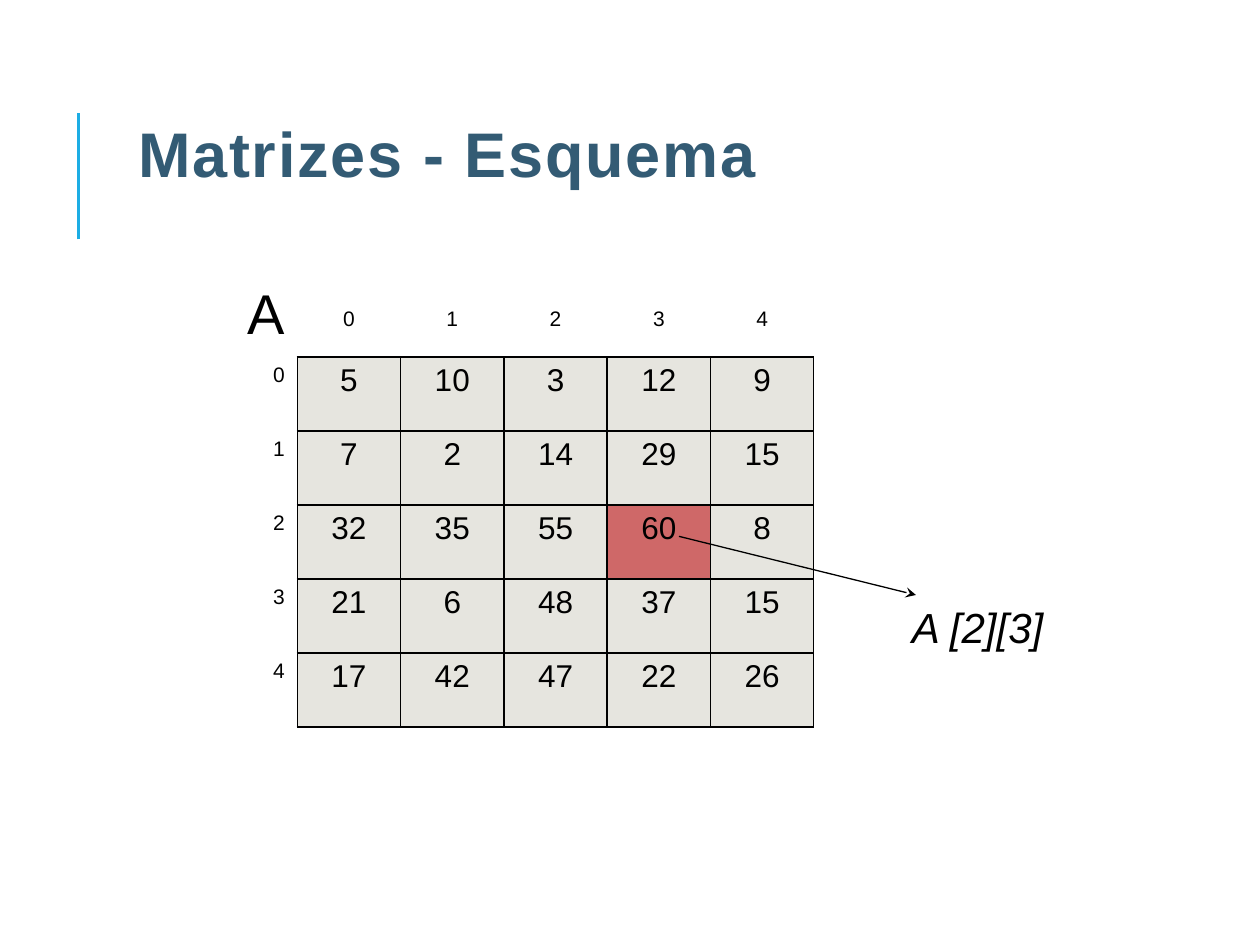
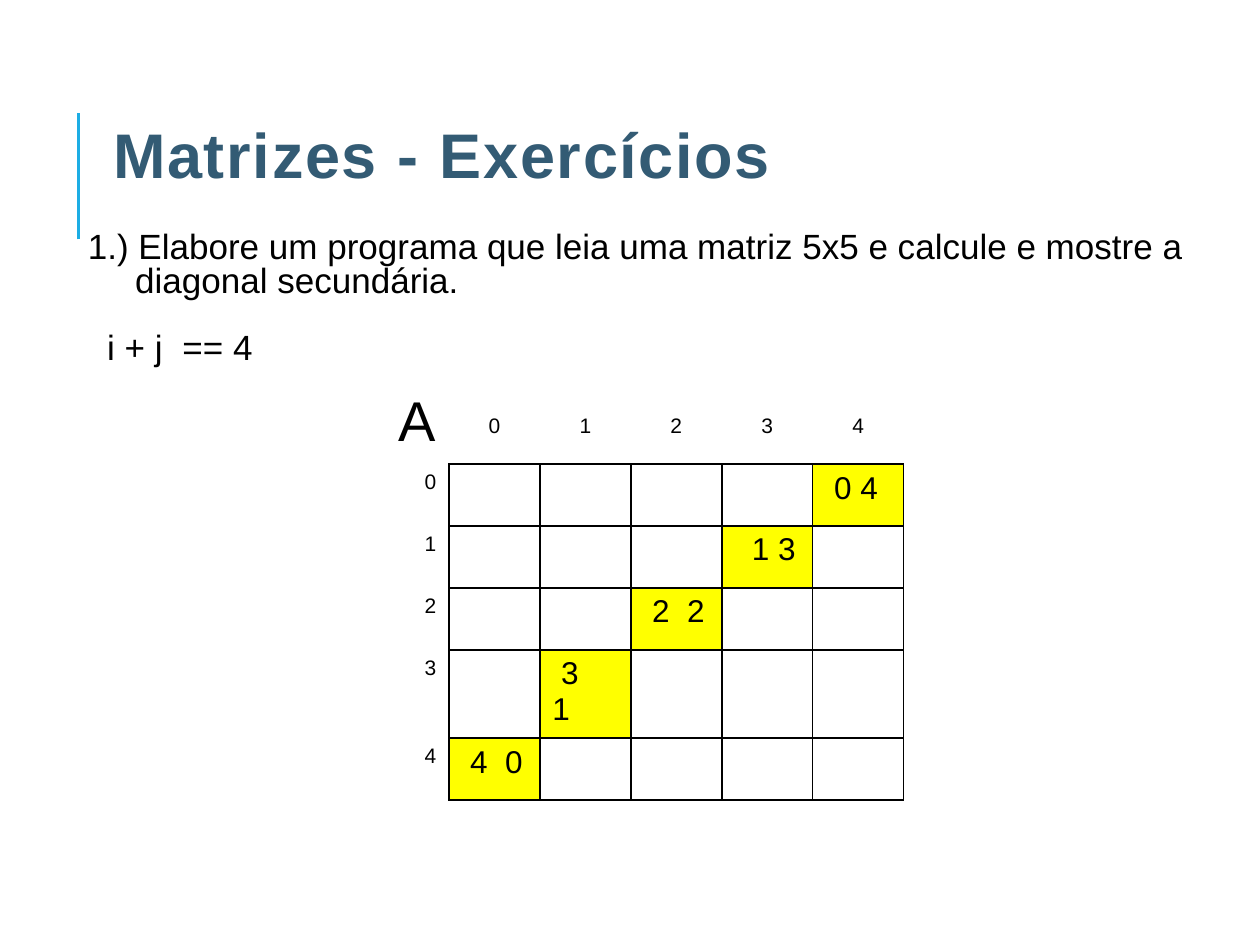
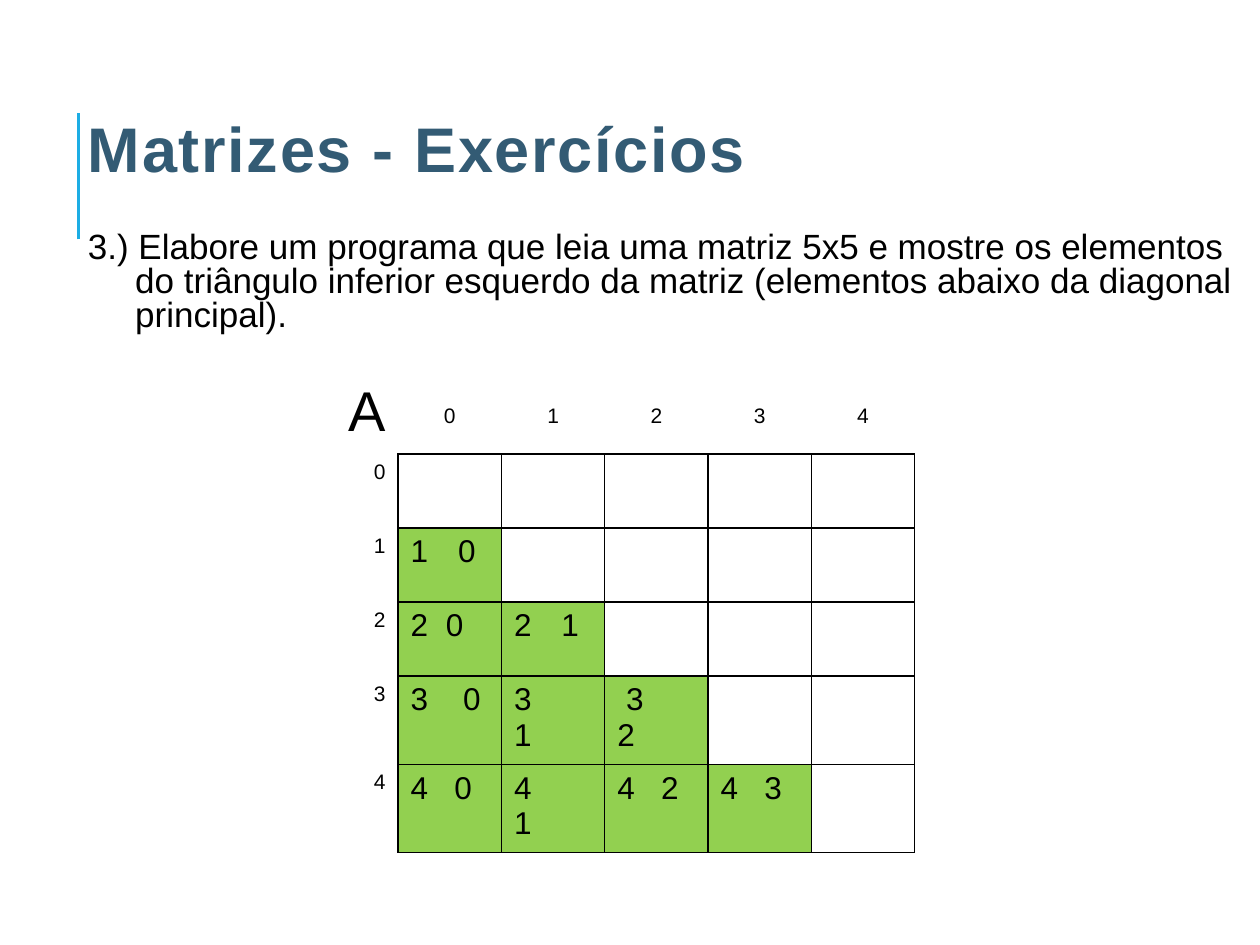
"""Build three slides about matrices: an indexed scheme and two exercises."""
from lxml import etree
from pptx import Presentation
from pptx.dml.color import RGBColor
from pptx.enum.shapes import MSO_CONNECTOR as Connector
from pptx.enum.text import MSO_ANCHOR as Anchor, PP_ALIGN as Align
from pptx.oxml.ns import qn
from pptx.util import Pt

FONT = "Arial"
BLACK, WHITE = "000000", "FFFFFF"
TITLE_COLOR, RULE_COLOR = "335B74", "1CADE4"
GRAY, RED, YELLOW, GREEN = "E6E5DF", "CF6868", "FFFF00", "92D050"
NO_TABLE_STYLE = "{2D5ABB26-0587-4C30-8999-92F81FD0307C}"
SIZE = 5
HANG = 27


def color(value):
    return RGBColor.from_string(value)


def add_span(para, text, size, tint=BLACK):
    span = para.add_run()
    span.text = text
    span.font.name = FONT
    span.font.size = Pt(size)
    span.font.color.rgb = color(tint)
    return span


numbers = [
    [5, 10, 3, 12, 9],
    [7, 2, 14, 29, 15],
    [32, 35, 55, 60, 8],
    [21, 6, 48, 37, 15],
    [17, 42, 47, 22, 26],
]
values = {(i, j): (str(number), 0, 0)
          for i, line in enumerate(numbers) for j, number in enumerate(line)}

# Each entry holds its text, the start of its first line and the tab position.
secondary_diagonal = {
    (0, 4): ("0 4", 5, 0),
    (1, 3): ("1 3", 10, 0),
    (2, 2): ("2\t2", 5, 25),
    (3, 1): ("3\n1", 5, 0),
    (4, 0): ("4\t0", 5, 25),
}
lower_triangle = {
    (1, 0): ("1\t0", 0, HANG),
    (2, 0): ("2\t0", 0, 20),
    (2, 1): ("2\t1", 0, HANG),
    (3, 0): ("3\t0", 0, 30),
    (3, 1): ("3\n1", 0, 0),
    (3, 2): ("3\n2", 5, 0),
    (4, 0): ("4\t0", 0, 25),
    (4, 1): ("4\n1", 0, 0),
    (4, 2): ("4\t2", 0, 25),
    (4, 3): ("4\t3", 0, 25),
}

large = dict(column=59.04, header=45.5, row=42.3, height=257)
small = dict(column=52, header=38.2, row=35.4, height=223)
pages = [
    dict(title="Matrizes - Esquema", title_at=(72, 39), question=None,
         table_at=(110.9, 158.4), grid=large, entries=values, align=Align.CENTER,
         base=GRAY, accent=RED, marked=[(2, 3)]),
    dict(title="Matrizes - Exercícios", title_at=(57.6, 39.6),
         question="1.) Elabore um programa que leia uma matriz 5x5 e calcule e mostre "
                  "a diagonal secundária.",
         question_height=149, condition="i + j\t== 4",
         table_at=(204.5, 219.6), grid=small, entries=secondary_diagonal,
         align=Align.LEFT, base=WHITE, accent=YELLOW, marked=secondary_diagonal),
    dict(title="Matrizes - Exercícios", title_at=(43.2, 36),
         question="3.) Elabore um programa que leia uma matriz 5x5 e mostre os elementos "
                  "do triângulo inferior esquerdo da matriz (elementos abaixo da diagonal "
                  "principal).",
         question_height=84, condition=None,
         table_at=(168.5, 213.8), grid=large, entries=lower_triangle,
         align=Align.LEFT, base=WHITE, accent=GREEN, marked=lower_triangle),
]

deck = Presentation()
deck.slide_width, deck.slide_height = Pt(720), Pt(540)

for content in pages:
    page = deck.slides.add_slide(deck.slide_layouts[6])

    rule = page.shapes.add_connector(Connector.STRAIGHT, Pt(44.8), Pt(136.8), Pt(44.8), Pt(64.8))
    rule.line.color.rgb = color(RULE_COLOR)
    rule.line.width = Pt(1.5)
    etree.SubElement(rule._element.spPr, qn("a:effectLst"))

    left, top = content["title_at"]
    box = page.shapes.add_textbox(Pt(left), Pt(top), Pt(648), Pt(90))
    box.text_frame.word_wrap = True
    box.text_frame.vertical_anchor = Anchor.MIDDLE
    box.text_frame.margin_top = Pt(9.6)
    span = add_span(box.text_frame.paragraphs[0], content["title"], 36, TITLE_COLOR)
    span.font.bold = True
    span._r.get_or_add_rPr().set("spc", "100")

    if content["question"]:
        box = page.shapes.add_textbox(Pt(43.2), Pt(129.6), Pt(676.8),
                                      Pt(content["question_height"]))
        box.text_frame.word_wrap = True
        para = box.text_frame.paragraphs[0]
        para.line_spacing = 0.8
        properties = para._p.get_or_add_pPr()
        properties.set("marL", str(Pt(HANG)))
        properties.set("indent", str(Pt(-HANG)))
        add_span(para, content["question"], 20)
        if content["condition"]:
            para = box.text_frame.add_paragraph()
            para.line_spacing = 0.8
            para.space_before = Pt(19)
            properties = para._p.get_or_add_pPr()
            properties.set("marL", str(Pt(54)))
            properties.set("indent", str(Pt(-43)))
            add_span(para, content["condition"], 20)

    grid = content["grid"]
    left, top = content["table_at"]
    count = SIZE + 1
    table = page.shapes.add_table(count, count, Pt(left), Pt(top), Pt(count * grid["column"]),
                                  Pt(grid["height"])).table
    table.first_row = table.horz_banding = False
    table._tbl.tblPr[0].text = NO_TABLE_STYLE
    for index in range(count):
        table.columns[index].width = Pt(grid["column"])
        table.rows[index].height = Pt(grid["row"] if index else grid["header"])

    for row in range(count):
        for column in range(count):
            cell = table.cell(row, column)
            para = cell.text_frame.paragraphs[0]
            place = (row - 1, column - 1)

            sides = "LRTB" if row and column else "B" if column else "R" if row else ""
            for side in sides:
                border = etree.SubElement(cell._tc.get_or_add_tcPr(), qn("a:ln" + side),
                                          w=str(Pt(1)))
                paint = etree.SubElement(border, qn("a:solidFill"))
                etree.SubElement(paint, qn("a:srgbClr"), val=BLACK)

            if row and column:
                cell.fill.solid()
                cell.fill.fore_color.rgb = color(
                    content["accent"] if place in content["marked"] else content["base"])
                if place in content["entries"]:
                    text, start, tab = content["entries"][place]
                    para.alignment = content["align"]
                    properties = para._p.get_or_add_pPr()
                    properties.set("marL", str(Pt(tab)))
                    properties.set("indent", str(Pt(start - tab)))
                    for number, part in enumerate(text.split("\n")):
                        if number:
                            para.add_line_break()
                        add_span(para, part, 18)
            else:
                cell.fill.background()
                if column:
                    para.alignment = Align.CENTER
                    cell.margin_top = Pt(17.4)
                    add_span(para, str(column - 1), 12)
                else:
                    para.alignment = Align.RIGHT
                    add_span(para, str(row - 1) if row else "A", 12 if row else 32)

scheme = deck.slides[0]
arrow = scheme.shapes.add_connector(Connector.STRAIGHT, Pt(388), Pt(306.5), Pt(523.4), Pt(340))
arrow.line.color.rgb = color(BLACK)
arrow.line.width = Pt(0.75)
etree.SubElement(arrow.line._get_or_add_ln(), qn("a:tailEnd"), type="stealth")
etree.SubElement(arrow._element.spPr, qn("a:effectLst"))

label = scheme.shapes.add_textbox(Pt(514), Pt(340), Pt(112.3), Pt(36.7))
label.text_frame.word_wrap = True
add_span(label.text_frame.paragraphs[0], "A [2][3]", 24).font.italic = True

deck.save("out.pptx")
